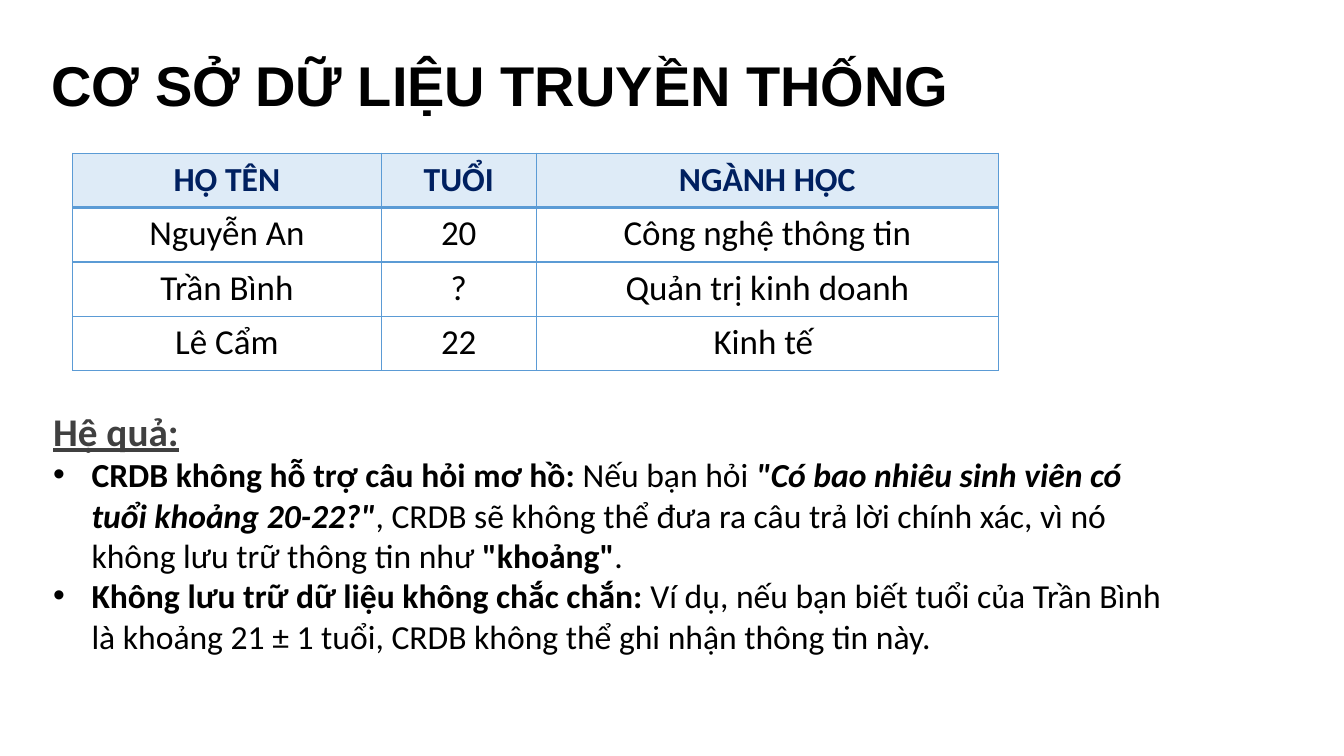
import pptx
import pptx.util
import pptx.dml.color
import pptx.enum.text
import pptx.oxml
import pptx.oxml.ns

PX = 9144
INK = {"black": "000000", "gray": "404040", "navy": "002060", "blue": "5B9BD5", "pale": "DEEBF7"}
ALIGN = pptx.enum.text.PP_ALIGN
ANCHOR = pptx.enum.text.MSO_ANCHOR


def add_run(para, text, size, ink="black", style="", face="Calibri"):
    run = para.add_run()
    run.text = text
    font = run.font
    font.name = face
    font.size = pptx.util.Pt(size)
    font.color.rgb = pptx.dml.color.RGBColor.from_string(INK[ink])
    font.bold = "b" in style
    font.italic = "i" in style
    font.underline = "u" in style


def add_node(owner, xml):
    owner.append(pptx.oxml.parse_xml(xml.replace(" ", f' {pptx.oxml.ns.nsdecls("a")} ', 1)))


deck = pptx.Presentation()
deck.slide_width = 1333 * PX
deck.slide_height = 750 * PX
slide = deck.slides.add_slide(deck.slide_layouts[5])

title = slide.shapes.title
title.left, title.top, title.width, title.height = [n * PX for n in (1, 45, 990, 77)]
frame = title.text_frame
frame.word_wrap = True
frame.auto_size = pptx.enum.text.MSO_AUTO_SIZE.NONE
frame.vertical_anchor = ANCHOR.MIDDLE
para = frame.paragraphs[0]
para.alignment = ALIGN.CENTER
add_run(para, "CƠ SỞ DỮ LIỆU TRUYỀN THỐNG", 40, style="b", face="Arial")

rows = [
    ("HỌ TÊN", "TUỔI", "NGÀNH HỌC"),
    ("Nguyễn An", "20", "Công nghệ thông tin"),
    ("Trần Bình", "?", "Quản trị kinh doanh"),
    ("Lê Cẩm", "22", "Kinh tế "),
]
wide = (306, 154, 458)
high = 54
table = slide.shapes.add_table(
    len(rows), len(wide), 72 * PX, 152 * PX, sum(wide) * PX, len(rows) * high * PX
).table
table.horz_banding = False
for col, width in zip(table.columns, wide):
    col.width = width * PX
for r, row in enumerate(rows):
    table.rows[r].height = high * PX
    for c, text in enumerate(row):
        cell = table.cell(r, c)
        para = cell.text_frame.paragraphs[0]
        para.alignment = ALIGN.CENTER
        props = cell._tc.get_or_add_tcPr()
        for side in "LRTB":
            thick = 2 if (r, side) in ((0, "B"), (1, "T")) else 1
            add_node(props, f'<a:ln{side} w="{pptx.util.Pt(thick)}"><a:solidFill>'
                            f'<a:srgbClr val="{INK["blue"]}"/></a:solidFill></a:ln{side}>')
        if r == 0:
            cell.vertical_anchor = ANCHOR.MIDDLE
            cell.fill.solid()
            cell.fill.fore_color.rgb = pptx.dml.color.RGBColor.from_string(INK["pale"])
            add_run(para, text, 24, "navy", "b")
        else:
            cell.fill.background()
            add_run(para, text, 25)

frame = slide.shapes.add_textbox(43 * PX, 399 * PX, 1137 * PX, 259 * PX).text_frame
frame.word_wrap = True
add_run(frame.paragraphs[0], "Hệ quả:", 28, "gray", "bu")
points = [
    [
        ("CRDB không hỗ trợ câu hỏi mơ hồ:", "b"),
        (" Nếu bạn hỏi ", ""),
        ('"Có bao nhiêu sinh viên có tuổi khoảng 20-22?"', "bi"),
        (", CRDB sẽ không thể đưa ra câu trả lời chính xác, vì nó không lưu trữ thông tin như ", ""),
        ('"khoảng"', "b"),
        (".", ""),
    ],
    [
        ("Không lưu trữ dữ liệu không chắc chắn:", "b"),
        (" Ví dụ, nếu bạn biết tuổi của Trần Bình là khoảng 21 ± 1 tuổi, "
         "CRDB không thể ghi nhận thông tin này.", ""),
    ],
]
for point in points:
    para = frame.add_paragraph()
    props = para._p.get_or_add_pPr()
    props.set("marL", str(38 * PX))
    props.set("indent", str(-38 * PX))
    add_node(props, '<a:buFont typeface="Arial"/>')
    add_node(props, '<a:buChar char="•"/>')
    for text, style in point:
        add_run(para, text, 24, style=style)

deck.save("out.pptx")
